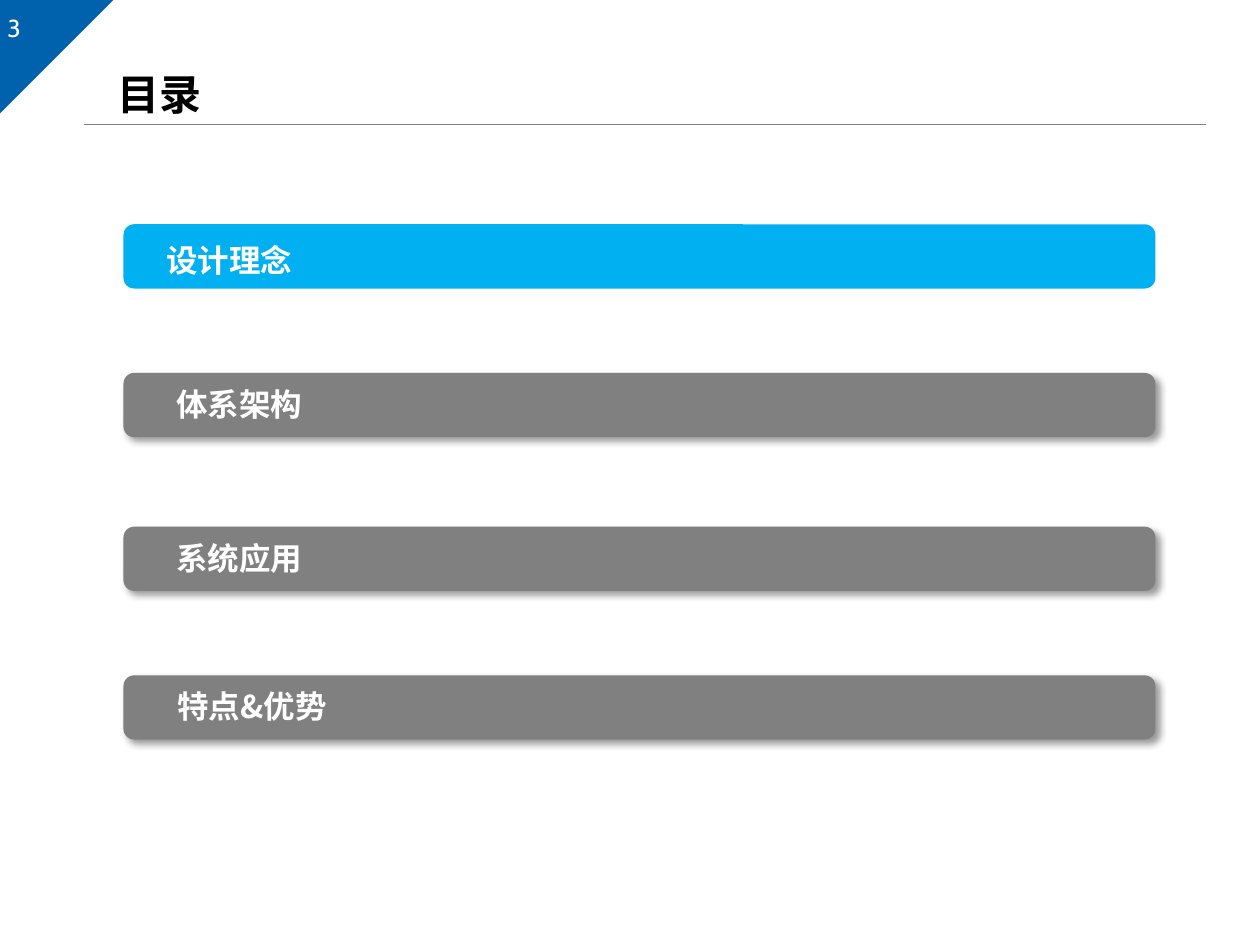
"""Build the contents slide with its current section highlighted."""
from dataclasses import dataclass

from lxml.etree import SubElement
from pptx import Presentation
from pptx.dml.color import RGBColor
from pptx.enum.shapes import MSO_CONNECTOR, MSO_SHAPE
from pptx.enum.text import MSO_ANCHOR, MSO_AUTO_SIZE, PP_ALIGN
from pptx.oxml.ns import qn
from pptx.util import Inches, Pt

BLUE = RGBColor(0x00, 0x62, 0xAC)
CYAN = RGBColor(0x00, 0xB0, 0xF0)
GRAY = RGBColor(0x80, 0x80, 0x80)
WHITE = RGBColor(0xFF, 0xFF, 0xFF)
BLACK = RGBColor(0x00, 0x00, 0x00)
CJK = "Noto Sans CJK SC"


@dataclass
class Section:
    text: str
    top: float
    text_left: float
    text_top: float
    text_width: float
    active: bool = False


SECTIONS = [
    Section("设计理念", 1.78, 1.22, 1.86, 3.23, active=True),
    Section("体系架构", 2.96, 1.3, 3.01, 2.91),
    Section("系统应用", 4.18, 1.3, 4.23, 2.91),
    Section("特点&优势", 5.36, 1.31, 5.4, 3.61),
]


def place(sp, left: float, top: float, width: float, height: float) -> None:
    """Move and size a shape in inches."""
    sp.left, sp.top = Inches(left), Inches(top)
    sp.width, sp.height = Inches(width), Inches(height)


def set_text(sp, text: str, *, size: float, color: RGBColor, font: str = CJK,
             bold: bool = True, anchor=MSO_ANCHOR.MIDDLE) -> None:
    """Write one formatted line into a shape."""
    tf = sp.text_frame
    tf.word_wrap = True
    tf.auto_size = MSO_AUTO_SIZE.SHAPE_TO_FIT_TEXT
    tf.vertical_anchor = anchor
    p = tf.paragraphs[0]
    p.alignment = PP_ALIGN.LEFT
    r = p.add_run()
    r.text = text
    r.font.size = Pt(size)
    r.font.bold = bold
    r.font.color.rgb = color
    r.font.name = font
    SubElement(r.font._element, qn("a:ea"), typeface=font)


def add_label(s, text: str, left: float, top: float, width: float,
              height: float, **style) -> None:
    """Add a text box holding one formatted line."""
    sp = s.shapes.add_textbox(0, 0, 0, 0)
    set_text(sp, text, **style)
    place(sp, left, top, width, height)


def add_filled(s, kind, left: float, top: float, width: float,
               height: float, color: RGBColor):
    """Add a plain filled shape without outline or shadow."""
    sp = s.shapes.add_shape(kind, 0, 0, 0, 0)
    place(sp, left, top, width, height)
    sp.fill.solid()
    sp.fill.fore_color.rgb = color
    sp.line.fill.background()
    sp.shadow.inherit = False
    return sp


def add_shadow(sp) -> None:
    """Give a shape a soft shadow to the lower right."""
    effects = sp._element.spPr.find(qn("a:effectLst"))
    shadow = SubElement(effects, qn("a:outerShdw"), blurRad=str(Pt(4)),
                        dist=str(Pt(3)), dir=str(45 * 60000),
                        algn="tl", rotWithShape="0")
    color = SubElement(shadow, qn("a:srgbClr"), val=str(BLACK))
    SubElement(color, qn("a:alpha"), val="40000")


def add_section(s, section: Section) -> None:
    """Draw one section bar with its label."""
    bar = add_filled(s, MSO_SHAPE.ROUNDED_RECTANGLE, 0.98, section.top,
                     8.19, 0.51, CYAN if section.active else GRAY)
    if not section.active:
        add_shadow(bar)
    add_label(s, section.text, section.text_left, section.text_top,
              section.text_width, 0.4, size=18, color=WHITE)


def add_rule(s) -> None:
    """Draw the thin line under the title."""
    line = s.shapes.add_connector(MSO_CONNECTOR.STRAIGHT, Inches(0.67),
                                  Inches(0.99), Inches(9.57), Inches(0.99))
    line.line.color.rgb = GRAY
    line.line.width = Pt(0.75)
    SubElement(line._element.spPr, qn("a:effectLst"))


def main() -> None:
    """Build and save the slide."""
    prs = Presentation()
    prs.slide_width, prs.slide_height = Inches(10), Inches(7.5)
    s = prs.slides.add_slide(prs.slide_layouts[5])
    corner = add_filled(s, MSO_SHAPE.RIGHT_TRIANGLE, 0, 0, 0.9, 0.9, BLUE)
    corner.rotation = 90
    add_label(s, "3", -0.04, 0.05, 2.33, 0.31, size=14, color=WHITE,
              font="Cabin", bold=False, anchor=MSO_ANCHOR.TOP)
    add_rule(s)
    set_text(s.shapes.title, "目录", size=24, color=BLACK)
    place(s.shapes.title, 0.83, 0.49, 1.12, 0.51)
    for section in SECTIONS:
        add_section(s, section)
    prs.save("out.pptx")


if __name__ == "__main__":
    main()
